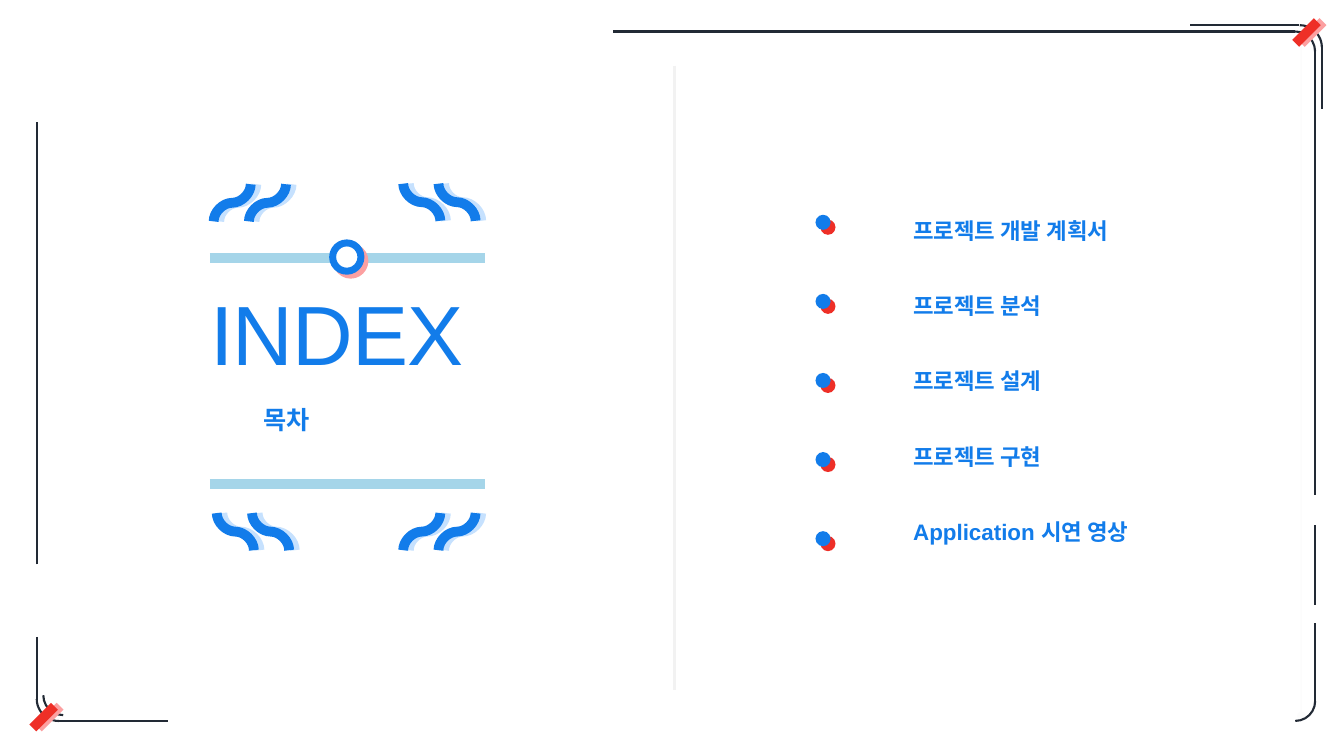
from dataclasses import dataclass
from typing import Optional

import pptx
import pptx.dml.color
import pptx.enum.shapes
import pptx.enum.text
import pptx.oxml
import pptx.oxml.ns
import pptx.util

Pt = pptx.util.Pt
RGBColor = pptx.dml.color.RGBColor
CONNECTOR = pptx.enum.shapes.MSO_CONNECTOR
SHAPE = pptx.enum.shapes.MSO_SHAPE
ALIGN = pptx.enum.text.PP_ALIGN
ANCHOR = pptx.enum.text.MSO_ANCHOR
qn = pptx.oxml.ns.qn

BLUE = RGBColor(0x12, 0x7C, 0xEA)
PALE_BLUE = RGBColor(0xC6, 0xE1, 0xFE)
SKY = RGBColor(0xA5, 0xD5, 0xE9)
RED = RGBColor(0xEE, 0x2F, 0x27)
PINK = RGBColor(0xFC, 0xA0, 0xA1)
NAVY = RGBColor(0x22, 0x2A, 0x35)
GRAY = RGBColor(0xF2, 0xF2, 0xF2)
WHITE = RGBColor(0xFF, 0xFF, 0xFF)

WAVE_SIZE = 26.5
WAVE_STEP = 25.2
DOT_STEP = 56.5
TOPICS = ["프로젝트 개발 계획서", "프로젝트 분석", "프로젝트 설계",
          "프로젝트 구현", "Application 시연 영상"]


@dataclass(frozen=True)
class Shadow:
    color: RGBColor
    distance: float
    degrees: int = 0


@dataclass(frozen=True)
class Line:
    x1: float
    y1: float
    x2: float
    y2: float
    color: RGBColor = NAVY
    width: float = 1.5
    shadow: Optional[Shadow] = None


@dataclass(frozen=True)
class Corner:
    left: float
    top: float
    size: float
    rotation: int


@dataclass(frozen=True)
class WavePair:
    left: float
    top: float
    falls_right: bool


@dataclass(frozen=True)
class Caption:
    left: float
    top: float
    width: float
    height: float
    lines: list[str]
    size: int
    bold: bool = True
    align: ALIGN = ALIGN.JUSTIFY
    line_spacing: float = 0.9
    gap: float = 0


LINES = [
    Line(150, 345.5, 346.3, 345.5, SKY, 7),
    Line(150, 184.3, 346.3, 184.3, SKY, 7),
    Line(481.7, 46.8, 481.7, 493.2, GRAY, 2.5),
    Line(925.2, 22.5, 437.8, 22.5),
    Line(939.4, 353.5, 939.4, 36.7),
    Line(928, 18, 850.3, 18),
    Line(944.1, 77.8, 944.1, 33.8),
    Line(939.4, 432, 939.4, 375.1),
    Line(939.4, 501.8, 939.4, 445),
    Line(41.8, 514.8, 120.2, 514.8),
    Line(26.2, 455, 26.2, 499.7),
    Line(26.2, 403.2, 26.2, 87.1),
    Line(941, 15.5, 925.5, 31, RED, 7, Shadow(PINK, 4)),
    Line(38.9, 504.5, 23.4, 520, RED, 7, Shadow(PINK, 4)),
]
CORNERS = [
    Corner(911, 22.5, 28.4, 0),
    Corner(912.7, 18, 31.5, 0),
    Corner(911, 486.6, 28.4, 90),
    Corner(30.9, 482.4, 28.4, 180),
    Corner(26.2, 483.5, 31.5, 180),
]
WAVE_PAIRS = [
    WavePair(152.6, 131.6, False),
    WavePair(288, 131.2, True),
    WavePair(154.8, 366.5, True),
    WavePair(288, 366.5, False),
]
HEADING = Caption(150, 219.6, 196.6, 44.6, ["INDEX"], 60, bold=False)
SUBHEADING = Caption(180.7, 289.4, 133.9, 24.5, ["목차"], 18, line_spacing=0.8)
AGENDA = Caption(645.1, 153.4, 211, 271.4, TOPICS, 16, align=ALIGN.LEFT, gap=36.6)


def set_shadow(properties, shadow: Optional[Shadow]) -> None:
    """Put the shadow, or none at all, into a shape's properties."""
    effects = properties.find(qn("a:effectLst"))
    if effects is None:
        effects = pptx.oxml.parse_xml(f"<a:effectLst {pptx.oxml.ns.nsdecls('a')}/>")
        properties.append(effects)
    if shadow:
        effects.append(pptx.oxml.parse_xml(
            f'<a:outerShdw {pptx.oxml.ns.nsdecls("a")} blurRad="0" '
            f'dist="{int(Pt(shadow.distance))}" dir="{shadow.degrees * 60000}" '
            f'algn="tl" rotWithShape="0"><a:srgbClr val="{shadow.color}"/></a:outerShdw>'))


def draw_line(page, line: Line, kind=CONNECTOR.STRAIGHT):
    connector = page.shapes.add_connector(
        kind, Pt(line.x1), Pt(line.y1), Pt(line.x2), Pt(line.y2))
    connector.line.color.rgb = line.color
    connector.line.width = Pt(line.width)
    set_shadow(connector._element.spPr, line.shadow)
    return connector


def draw_faint_edge(page) -> None:
    edge = draw_line(page, Line(929.5, 24.5, 929.5, 511.2, GRAY, 1))
    outline = edge.line._get_or_add_ln()
    color = outline.find(".//" + qn("a:srgbClr"))
    color.append(pptx.oxml.parse_xml(
        f'<a:alpha {pptx.oxml.ns.nsdecls("a")} val="22000"/>'))
    for end in ("headEnd", "tailEnd"):
        outline.append(pptx.oxml.parse_xml(
            f'<a:{end} {pptx.oxml.ns.nsdecls("a")} type="oval"/>'))


def draw_waves(page, pair: WavePair) -> None:
    for index in range(2):
        left = pair.left + index * WAVE_STEP
        right = left + WAVE_SIZE
        start, end = (right, left) if pair.falls_right else (left, right)
        wave = draw_line(page, Line(start, pair.top, end, pair.top + WAVE_SIZE,
                                    BLUE, 7, Shadow(PALE_BLUE, 4)), CONNECTOR.CURVE)
        degrees = 270 if pair.falls_right else 90
        wave._element.spPr.find(qn("a:xfrm")).set("rot", str(degrees * 60000))


def draw_corner(page, corner: Corner) -> None:
    arc = page.shapes.add_shape(SHAPE.ARC, Pt(corner.left), Pt(corner.top),
                                Pt(corner.size), Pt(corner.size))
    arc.rotation = corner.rotation
    arc.fill.background()
    arc.line.color.rgb = NAVY
    arc.line.width = Pt(1.5)
    arc.shadow.inherit = False


def draw_disc(page, left: float, top: float, size: float, fill: RGBColor,
              shadow: Shadow, outline: float = 0) -> None:
    disc = page.shapes.add_shape(SHAPE.OVAL, Pt(left), Pt(top), Pt(size), Pt(size))
    disc.fill.solid()
    disc.fill.fore_color.rgb = fill
    if outline:
        disc.line.color.rgb = BLUE
        disc.line.width = Pt(outline)
    else:
        disc.line.fill.background()
    disc.shadow.inherit = False
    set_shadow(disc._element.spPr, shadow)


def fill_placeholder(box, caption: Caption) -> None:
    box.left, box.top = Pt(caption.left), Pt(caption.top)
    box.width, box.height = Pt(caption.width), Pt(caption.height)
    frame = box.text_frame
    frame.text = "\n".join(caption.lines)
    frame.word_wrap = True
    frame.auto_size = pptx.enum.text.MSO_AUTO_SIZE.NONE
    frame.vertical_anchor = ANCHOR.TOP
    for index, para in enumerate(frame.paragraphs):
        para.alignment = caption.align
        para.line_spacing = caption.line_spacing
        para.space_before = Pt(caption.gap if index else 0)
        properties = para._p.get_or_add_pPr()
        properties.set("marL", "0")
        properties.set("indent", "0")
        properties.append(pptx.oxml.parse_xml(
            f"<a:buNone {pptx.oxml.ns.nsdecls('a')}/>"))
        for span in para.runs:
            span.font.name = "Arial"
            span.font.size = Pt(caption.size)
            span.font.bold = caption.bold
            span.font.color.rgb = BLUE


def main() -> None:
    deck = pptx.Presentation()
    deck.slide_width, deck.slide_height = Pt(960), Pt(540)
    page = deck.slides.add_slide(deck.slide_layouts.get_by_name("Two Content"))
    for box, caption in zip(page.placeholders, (HEADING, SUBHEADING, AGENDA)):
        fill_placeholder(box, caption)
    heading = page.shapes.title.text_frame
    heading.vertical_anchor = ANCHOR.MIDDLE
    heading.margin_left = heading.margin_right = Pt(0)
    heading.margin_top = heading.margin_bottom = Pt(0)
    heading.paragraphs[0].runs[0]._r.get_or_add_rPr().set("spc", "-60")

    draw_faint_edge(page)
    for corner in CORNERS:
        draw_corner(page, corner)
    for line in LINES:
        draw_line(page, line)
    for pair in WAVE_PAIRS:
        draw_waves(page, pair)
    draw_disc(page, 237.6, 173.5, 20.2, WHITE, Shadow(PINK, 4, 45), outline=5)
    for index in range(len(TOPICS)):
        draw_disc(page, 582.5, 153.4 + index * DOT_STEP, 10.8, BLUE, Shadow(RED, 5, 45))
    deck.save("out.pptx")


if __name__ == "__main__":
    main()
